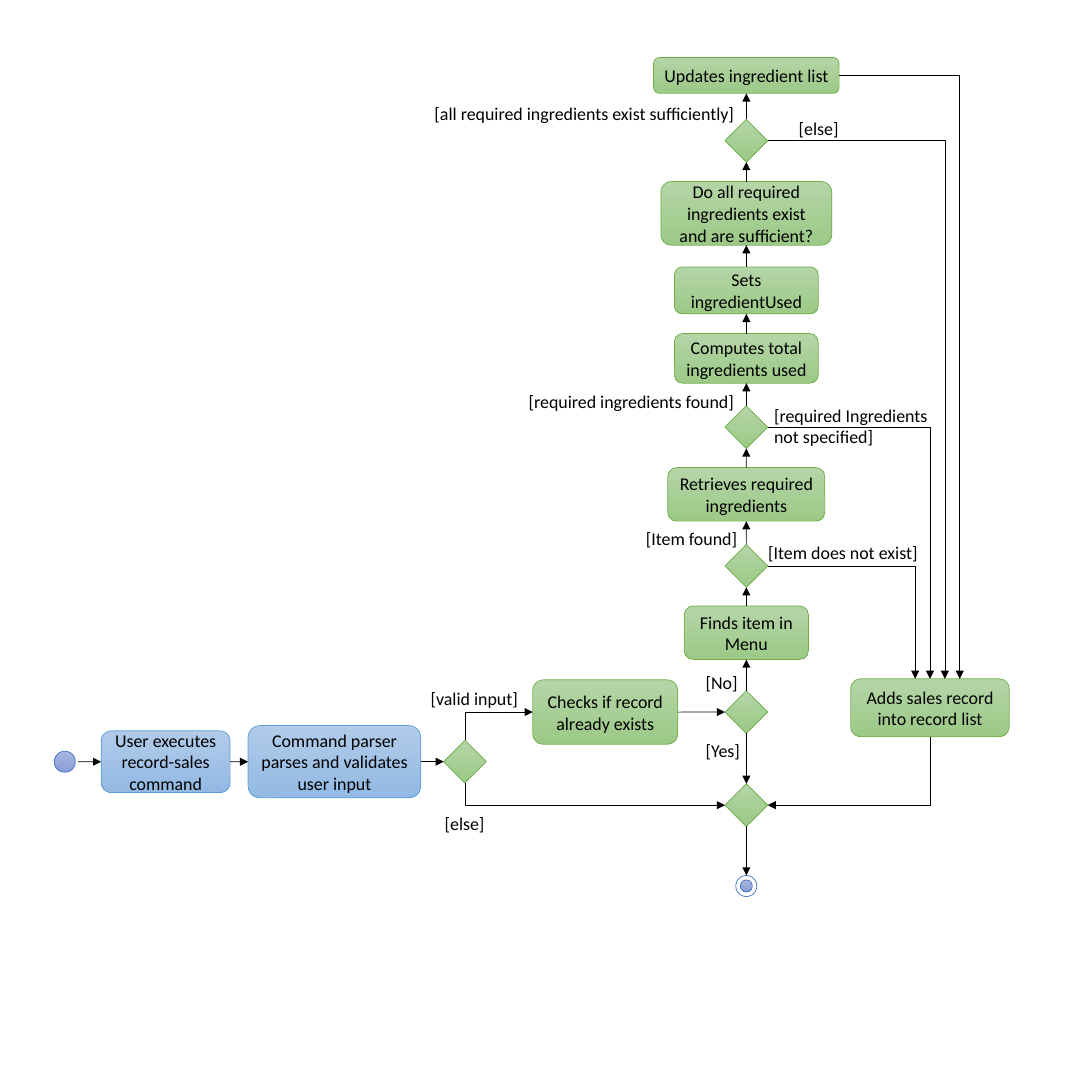
from lxml.etree import SubElement
from pptx import Presentation
from pptx.dml.color import RGBColor
from pptx.enum.shapes import MSO_CONNECTOR, MSO_SHAPE
from pptx.enum.text import MSO_ANCHOR, PP_ALIGN
from pptx.oxml.ns import qn
from pptx.util import Cm, Pt

BLACK = RGBColor(0x00, 0x00, 0x00)
WHITE = RGBColor(0xFF, 0xFF, 0xFF)
GREEN = (RGBColor(0xB5, 0xD5, 0xA7), RGBColor(0x9C, 0xC9, 0x87), RGBColor(0x70, 0xAD, 0x47))
BLUE = (RGBColor(0xB1, 0xCB, 0xE9), RGBColor(0x93, 0xB9, 0xE4), RGBColor(0x5B, 0x9B, 0xD5))
INDIGO = (RGBColor(0xA8, 0xB7, 0xDF), RGBColor(0x88, 0x9E, 0xD7), RGBColor(0x44, 0x72, 0xC4))
HOLLOW = (WHITE, WHITE, INDIGO[2])

TOP, LEFT, BOTTOM, RIGHT = range(4)
SPINE = 19.1
PARSE_ROW = 19.49
CHECK_ROW = 18.22
RECORD_CENTER, RECORD_TOP = 23.8, 17.37
LANE_GAP = 0.38
DIAMOND = 1.09
CIRCLE = 0.54
DOT = 0.31

ACTIONS = [
    ("user", 4.24, PARSE_ROW, 3.3, 1.58, BLUE, "User executes record-sales command"),
    ("parser", 8.56, PARSE_ROW, 4.42, 1.85, BLUE, "Command parser parses and validates user input"),
    ("checks", 15.49, CHECK_ROW, 3.71, 1.65, GREEN, "Checks if record already exists"),
    ("record", RECORD_CENTER, 18.11, 4.06, 1.48, GREEN, "Adds sales record into record list"),
    ("finds", SPINE, 16.19, 3.18, 1.37, GREEN, "Finds item in Menu"),
    ("retrieves", SPINE, 12.65, 4.02, 1.37, GREEN, "Retrieves required ingredients"),
    ("computes", SPINE, 9.17, 3.68, 1.27, GREEN, "Computes total ingredients used"),
    ("sets", SPINE, 7.43, 3.68, 1.2, GREEN, "Sets ingredientUsed"),
    ("enough", SPINE, 5.46, 4.37, 1.63, GREEN, "Do all required ingredients exist and are sufficient?"),
    ("updates", SPINE, 1.93, 4.75, 0.92, GREEN, "Updates ingredient list"),
]
DECISIONS = [
    ("valid", 11.9, PARSE_ROW),
    ("exists", SPINE, CHECK_ROW),
    ("merge", SPINE, 20.6),
    ("item found", SPINE, 14.48),
    ("ingredients found", SPINE, 10.93),
    ("sufficient", SPINE, 3.6),
]
CIRCLES = [
    ("start", 1.66, PARSE_ROW, CIRCLE, INDIGO),
    ("finish", SPINE, 22.67, CIRCLE, HOLLOW),
    ("finish dot", SPINE, 22.67, DOT, INDIGO),
]
LABELS = [
    ("[else]", 11.13, 20.65, 1.93, 0.81),
    ("[valid input]", 10.77, 17.45, 3.2, 0.81),
    ("[Yes]", 17.81, 18.8, 1.42, 0.81),
    ("[No]", 17.81, 17.04, 1.47, 0.81),
    ("[Item found]", 16.28, 13.36, 2.92, 0.81),
    ("[Item does not exist]", 19.41, 13.72, 4.37, 0.81),
    ("[required Ingredients not specified]", 19.56, 10.21, 4.57, 1.37),
    ("[required ingredients found]", 13.28, 9.86, 6.4, 0.81),
    ("[else]", 20.19, 2.87, 1.6, 0.81),
    ("[all required ingredients exist sufficiently]", 10.87, 2.49, 8.41, 0.81),
]
ACROSS = ["user", "parser", "valid"]
UPWARD = ["exists", "finds", "item found", "retrieves", "ingredients found",
          "computes", "sets", "enough", "sufficient", "updates"]
DOWNWARD = ["exists", "merge", "finish"]
TURNS = [
    ("valid", TOP, "checks", LEFT),
    ("valid", BOTTOM, "merge", LEFT),
    ("record", BOTTOM, "merge", RIGHT),
]
LANES = [("item found", -1), ("ingredients found", 0), ("sufficient", 1), ("updates", 2)]


def write(shape, text, size=13, color=BLACK, align=PP_ALIGN.LEFT,
          anchor=MSO_ANCHOR.TOP, inset=(0.25, 0.13)):
    frame = shape.text_frame
    frame.word_wrap = True
    frame.vertical_anchor = anchor
    frame.margin_left = frame.margin_right = Cm(inset[0])
    frame.margin_top = frame.margin_bottom = Cm(inset[1])
    para = frame.paragraphs[0]
    para.alignment = align
    span = para.add_run()
    span.text = text
    span.font.name = "Calibri"
    span.font.size = Pt(size)
    span.font.color.rgb = color


def add_node(page, kind, center_x, center_y, width, height, colors):
    shape = page.shapes.add_shape(kind, Cm(center_x - width / 2), Cm(center_y - height / 2),
                                  Cm(width), Cm(height))
    shape.shadow.inherit = False
    light, dark, edge = colors
    if light == dark:
        shape.fill.solid()
        shape.fill.fore_color.rgb = light
    else:
        shape.fill.gradient()
        shape.fill.gradient_angle = 270
        for stop, color in zip(shape.fill.gradient_stops, (light, dark)):
            stop.color.rgb = color
    shape.line.color.rgb = edge
    shape.line.width = Pt(0.5)
    return shape


def add_arrow(page, kind, start=None, end=None, begin_point=(0, 0), end_point=(0, 0)):
    arrow = page.shapes.add_connector(kind, *begin_point, *end_point)
    if start:
        arrow.begin_connect(*start)
    if end:
        arrow.end_connect(*end)
    arrow.line.color.rgb = BLACK
    arrow.line.width = Pt(0.5)
    SubElement(arrow.line._get_or_add_ln(), qn("a:tailEnd"), type="triangle")
    SubElement(arrow.element.spPr, qn("a:effectLst"))
    if kind == MSO_CONNECTOR.ELBOW:
        arrow.element.spPr.find(qn("a:prstGeom")).set("prst", "bentConnector2")
    return arrow


def turn_vertical_first(arrow):
    run, rise = arrow.end_x - arrow.begin_x, arrow.end_y - arrow.begin_y
    middle_x = (arrow.begin_x + arrow.end_x) // 2
    middle_y = (arrow.begin_y + arrow.end_y) // 2
    arrow.width, arrow.height = abs(rise), abs(run)
    arrow.left, arrow.top = middle_x - abs(rise) // 2, middle_y - abs(run) // 2
    frame = arrow.element.spPr.find(qn("a:xfrm"))
    frame.set("rot", str(90 * 60000))
    frame.set("flipH", str(int(rise < 0)))
    frame.set("flipV", str(int(run > 0)))


def main():
    deck = Presentation()
    deck.slide_width, deck.slide_height = Cm(27.51), Cm(27.94)
    page = deck.slides.add_slide(deck.slide_layouts[6])
    nodes = {}

    for name, x, y, width, height, colors, text in ACTIONS:
        box = add_node(page, MSO_SHAPE.ROUNDED_RECTANGLE, x, y, width, height, colors)
        write(box, text, align=PP_ALIGN.CENTER, anchor=MSO_ANCHOR.MIDDLE, inset=(0.2, 0.1))
        nodes[name] = box
    for name, x, y in DECISIONS:
        nodes[name] = add_node(page, MSO_SHAPE.DIAMOND, x, y, DIAMOND, DIAMOND, GREEN)
    for name, x, y, size, colors in CIRCLES:
        nodes[name] = add_node(page, MSO_SHAPE.OVAL, x, y, size, size, colors)

    add_arrow(page, MSO_CONNECTOR.STRAIGHT, end=(nodes["user"], LEFT),
              begin_point=(Cm(2), Cm(PARSE_ROW)))
    chains = [(ACROSS, RIGHT, LEFT), (["checks", "exists"], RIGHT, LEFT),
              (UPWARD, TOP, BOTTOM), (DOWNWARD, BOTTOM, TOP)]
    for names, leaving, entering in chains:
        for source, target in zip(names, names[1:]):
            add_arrow(page, MSO_CONNECTOR.STRAIGHT, (nodes[source], leaving),
                      (nodes[target], entering))

    for source, leaving, target, entering in TURNS:
        arrow = add_arrow(page, MSO_CONNECTOR.ELBOW, (nodes[source], leaving),
                          (nodes[target], entering))
        turn_vertical_first(arrow)
    for source, lane in LANES:
        landing = (Cm(RECORD_CENTER + lane * LANE_GAP), Cm(RECORD_TOP))
        add_arrow(page, MSO_CONNECTOR.ELBOW, (nodes[source], RIGHT),
                  (nodes["record"], TOP) if lane == 0 else None, end_point=landing)

    for text, left, top, width, height in LABELS:
        write(page.shapes.add_textbox(Cm(left), Cm(top), Cm(width), Cm(height)), text)

    deck.save("out.pptx")


if __name__ == "__main__":
    main()
